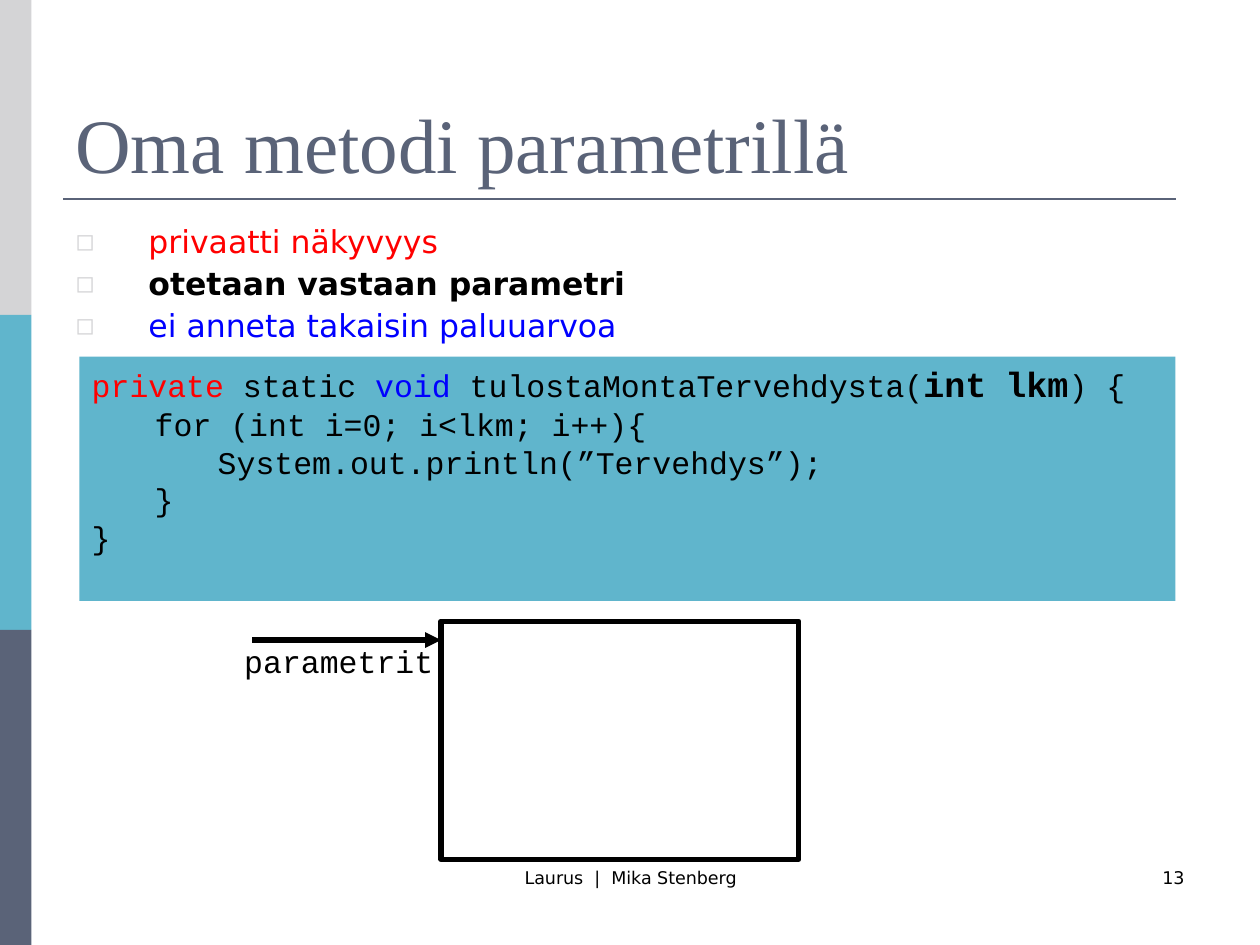
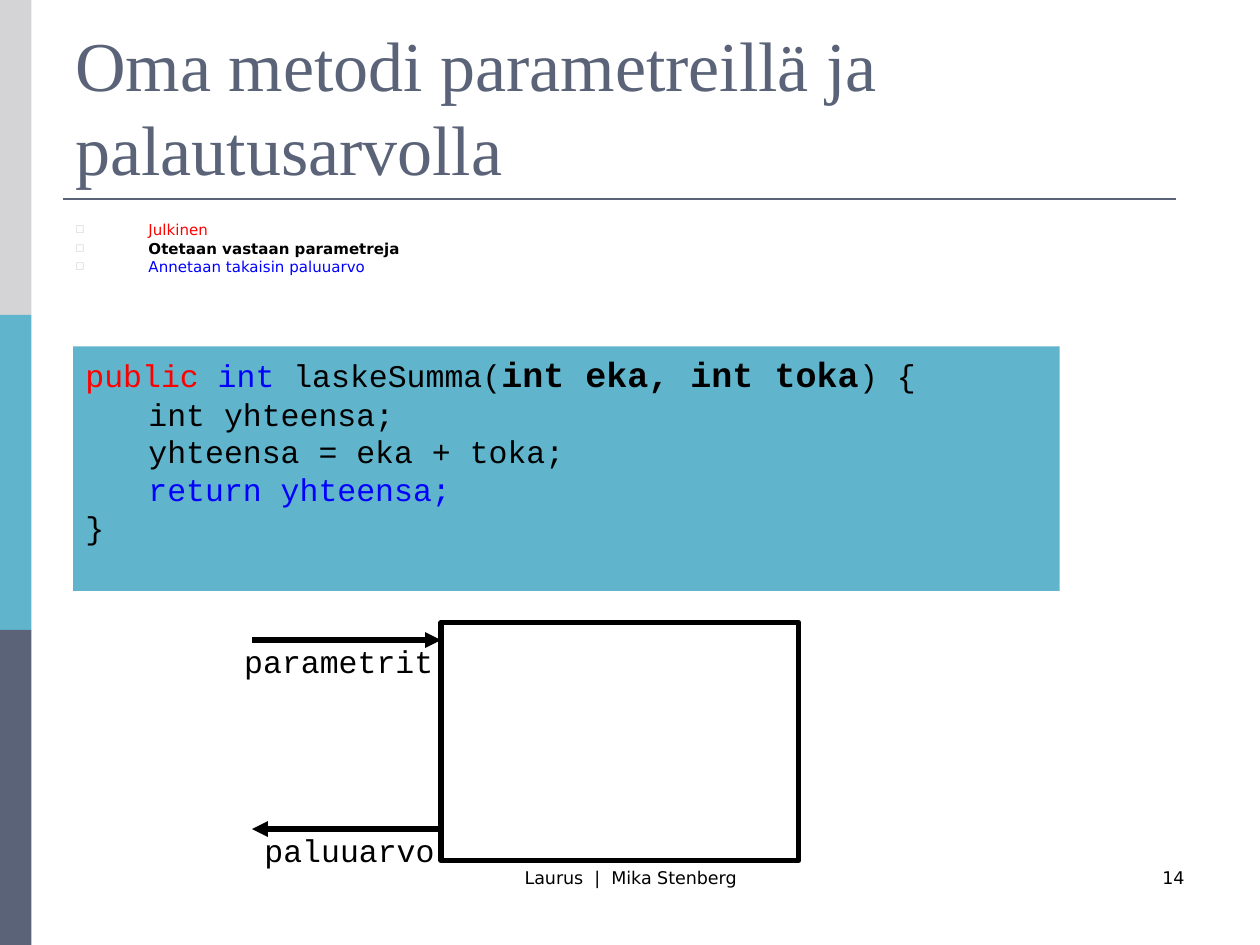
from lxml import etree
from pptx import Presentation
from pptx.dml.color import RGBColor
from pptx.enum.shapes import MSO_CONNECTOR, MSO_SHAPE
from pptx.enum.text import MSO_ANCHOR, PP_ALIGN
from pptx.oxml.ns import qn
from pptx.util import Inches, Pt

RECT = MSO_SHAPE.RECTANGLE
STRAIGHT = MSO_CONNECTOR.STRAIGHT
LEFT, CENTER, RIGHT = PP_ALIGN.LEFT, PP_ALIGN.CENTER, PP_ALIGN.RIGHT
TOP, BOTTOM = MSO_ANCHOR.TOP, MSO_ANCHOR.BOTTOM

COLORS = {"grey": "D4D4D6", "teal": "60B5CC", "slate": "5A6378",
          "black": "000000", "red": "FF0000", "blue": "0000FF"}
SANS, SERIF, MONO = "DejaVu Sans", "Times New Roman", "Courier New"

# Content: a run is (text, style), and each style is (colour, bold, code size)
STYLES = {"plain": ("black", False, 18), "access": ("red", False, 18),
          "param": ("black", True, 20), "result": ("blue", False, 18)}
BANDS = ["grey", "teal", "slate"]
FOOTER = "Laurus  |  Mika Stenberg"
FIRST_NUMBER = 13

SLIDES = [
    {
        "title": "Oma metodi parametrillä", "title_size": 44,
        "points": [("privaatti näkyvyys", "access"),
                   ("otetaan vastaan parametri", "param"),
                   ("ei anneta takaisin paluuarvoa", "result")],
        "point_size": 18, "point_spacing": 0.9, "points_height": 1.42,
        "code": [
            [("private", "access"), (" static ", "plain"), ("void", "result"),
             (" tulostaMontaTervehdysta(", "plain"), ("int", "param"),
             (" ", "plain"), ("lkm", "param"), (") {", "plain")],
            [("\tfor (int i=0; i<lkm; i++){", "plain")],
            [("\t\tSystem.out.println(”Tervehdys”);", "plain")],
            [("\t}", "plain")],
            [("}", "plain")],
        ],
        "code_box": (0.63, 2.83, 8.7, 1.94),
        "method_top": 4.93,
        "returns": False,
    },
    {
        "title": "Oma metodi parametreillä ja palautusarvolla", "title_size": 40,
        "points": [("Julkinen", "access"),
                   ("Otetaan vastaan parametreja", "param"),
                   ("Annetaan takaisin paluuarvo", "result")],
        "point_size": 8.6, "point_spacing": 0.6, "points_height": 0.5,
        "code": [
            [("public ", "access"), ("int", "result"), (" laskeSumma(", "plain"),
             ("int eka, int toka", "param"), (") {", "plain")],
            [("\tint yhteensa;", "plain")],
            [("\tyhteensa = eka + toka;", "plain")],
            [("\t", "plain"), ("return yhteensa;", "result")],
            [("}", "plain")],
        ],
        "code_box": (0.58, 2.75, 7.83, 1.94),
        "method_top": 4.94,
        "returns": True,
    },
]

# Places in inches
BAND_WIDTH, BAND_HEIGHT = 0.25, 2.5
RULE_LEFT, RULE_RIGHT, RULE_Y = 0.5, 9.33, 1.58
ARROW_LEFT, METHOD_LEFT = 2, 3.5
PARAM_Y, RETURN_Y = 5.08, 6.58
LABEL_RISE, LABEL_HEIGHT = 0.03, 0.4


def rgb(color):
    return RGBColor.from_string(COLORS[color])


def inches(box):
    return [Inches(length) for length in box]


def add_run(paragraph, text, font, size, color="black", bold=False):
    run = paragraph.add_run()
    run.text = text
    run.font.name = font
    run.font.size = Pt(size)
    run.font.bold = bold
    run.font.color.rgb = rgb(color)


def add_text(slide, box, text, font, size, color="black", align=LEFT,
             anchor=TOP, wrap=True):
    frame = slide.shapes.add_textbox(*inches(box)).text_frame
    frame.word_wrap = wrap
    frame.vertical_anchor = anchor
    frame.paragraphs[0].alignment = align
    add_run(frame.paragraphs[0], text, font, size, color)


def paragraphs_for(frame, items):
    """Pair every item with its own paragraph."""
    for i, item in enumerate(items):
        yield (frame.add_paragraph() if i else frame.paragraphs[0]), item


def add_rect(slide, box, fill=None, line=None):
    rect = slide.shapes.add_shape(RECT, *inches(box))
    rect.shadow.inherit = False
    if fill:
        rect.fill.solid()
        rect.fill.fore_color.rgb = rgb(fill)
    else:
        rect.fill.background()
    if line:
        rect.line.color.rgb = rgb(line)
        rect.line.width = Pt(3)
    else:
        rect.line.fill.background()
    return rect


def add_line(slide, x1, x2, y, color, width, arrow=False):
    line = slide.shapes.add_connector(STRAIGHT, *inches((x1, y, x2, y)))
    line.line.color.rgb = rgb(color)
    line.line.width = Pt(width)
    if arrow:
        etree.SubElement(line.line._get_or_add_ln(), qn("a:tailEnd"), type="triangle")
    etree.SubElement(line._element.spPr, qn("a:effectLst"))


def add_bullet(paragraph):
    props = paragraph._p.get_or_add_pPr()
    props.set("marL", str(Inches(0.58)))
    props.set("indent", str(-Inches(0.58)))
    color = etree.SubElement(props, qn("a:buClr"))
    etree.SubElement(color, qn("a:srgbClr"), val=COLORS["grey"])
    etree.SubElement(props, qn("a:buSzPct"), val="75000")
    etree.SubElement(props, qn("a:buFont"), typeface=SANS)
    etree.SubElement(props, qn("a:buChar"), char="◻")


def add_base(slide, content, number):
    """Side bands, title with its rule, and footer."""
    for i, color in enumerate(BANDS):
        add_rect(slide, (0, i * BAND_HEIGHT, BAND_WIDTH, BAND_HEIGHT), color)
    add_line(slide, RULE_LEFT, RULE_RIGHT, RULE_Y, "slate", 1.5)
    add_text(slide, (3.42, 6.83, 3.17, 0.5), FOOTER, SANS, 10, align=CENTER)
    add_text(slide, (7.17, 6.83, 2.33, 0.5), str(number), SANS, 10, align=RIGHT)
    add_text(slide, (0.5, 0.3, 9, 1.25), content["title"], SERIF,
             content["title_size"], "slate", anchor=BOTTOM)


def add_points(slide, content):
    box = (0.5, 1.75, 8.75, content["points_height"])
    frame = slide.shapes.add_textbox(*inches(box)).text_frame
    frame.word_wrap = True
    for paragraph, (text, style) in paragraphs_for(frame, content["points"]):
        paragraph.line_spacing = content["point_spacing"]
        paragraph.space_before = Pt(4.5)
        add_bullet(paragraph)
        color, bold, _ = STYLES[style]
        add_run(paragraph, text, SANS, content["point_size"], color, bold)


def add_code(slide, content):
    frame = add_rect(slide, content["code_box"], "teal").text_frame
    frame.word_wrap = True
    frame.vertical_anchor = TOP
    for paragraph, code_line in paragraphs_for(frame, content["code"]):
        paragraph.alignment = LEFT
        for text, style in code_line:
            color, bold, size = STYLES[style]
            add_run(paragraph, text, MONO, size, color, bold)


def add_flow(slide, text, x1, x2, y, label_left, label_width):
    """Arrow into or out of the method, with its label below."""
    add_line(slide, x1, x2, y, "black", 3, arrow=True)
    add_text(slide, (label_left, y - LABEL_RISE, label_width, LABEL_HEIGHT),
             text, MONO, 18, wrap=False)


def main():
    prs = Presentation()
    prs.slide_width, prs.slide_height = Inches(10), Inches(7.5)
    for number, content in enumerate(SLIDES, FIRST_NUMBER):
        slide = prs.slides.add_slide(prs.slide_layouts[6])
        add_base(slide, content, number)
        add_points(slide, content)
        add_code(slide, content)
        # Method as a box with its input and output
        add_rect(slide, (METHOD_LEFT, content["method_top"], 2.84, 1.89), line="black")
        add_flow(slide, "parametrit", ARROW_LEFT, METHOD_LEFT, PARAM_Y, 1.84, 1.7)
        if content["returns"]:
            add_flow(slide, "paluuarvo", METHOD_LEFT, ARROW_LEFT, RETURN_Y, 2, 1.55)
    prs.save("out.pptx")


if __name__ == "__main__":
    main()
